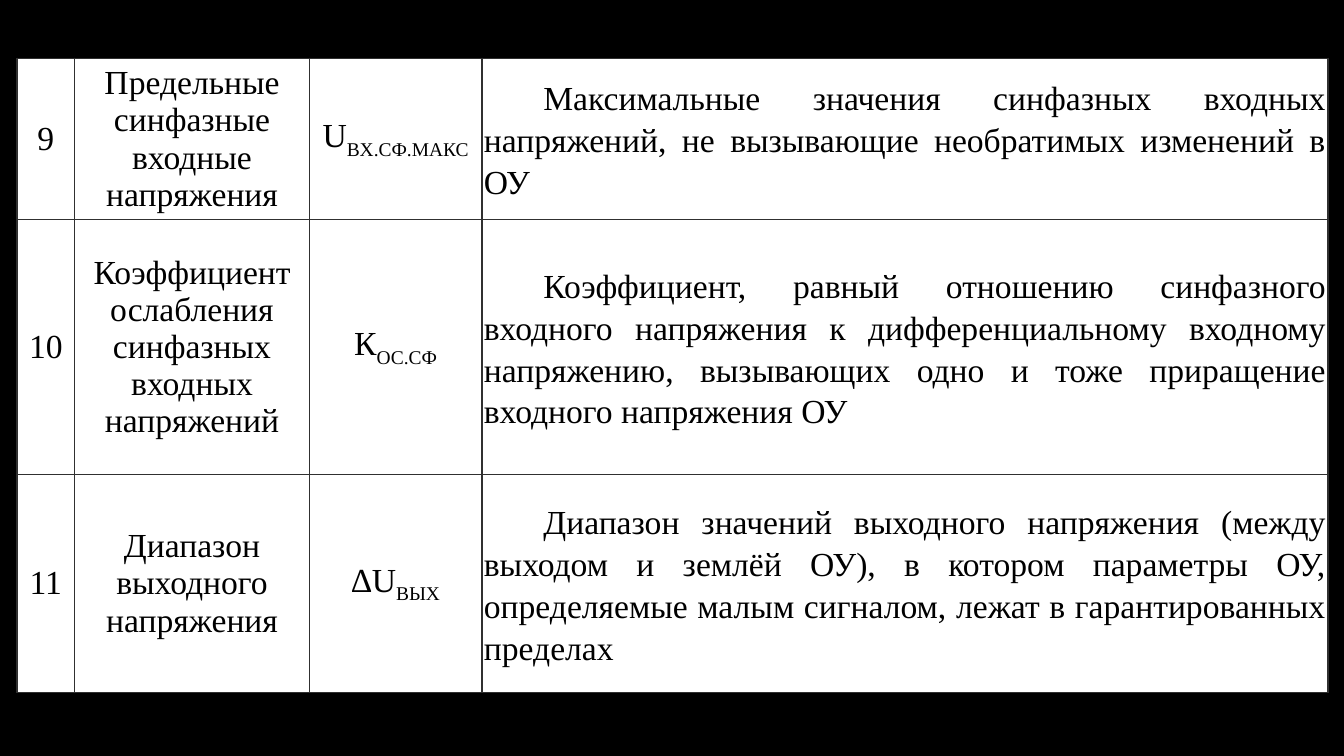
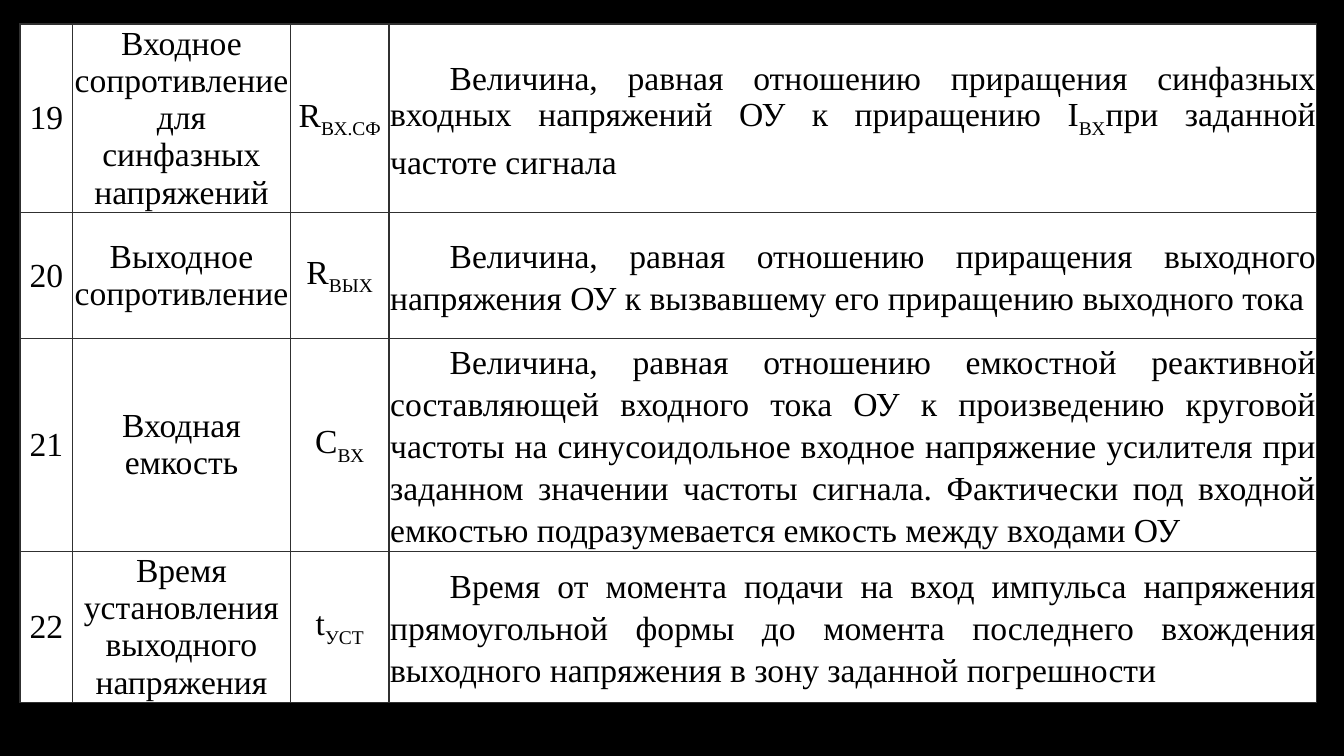
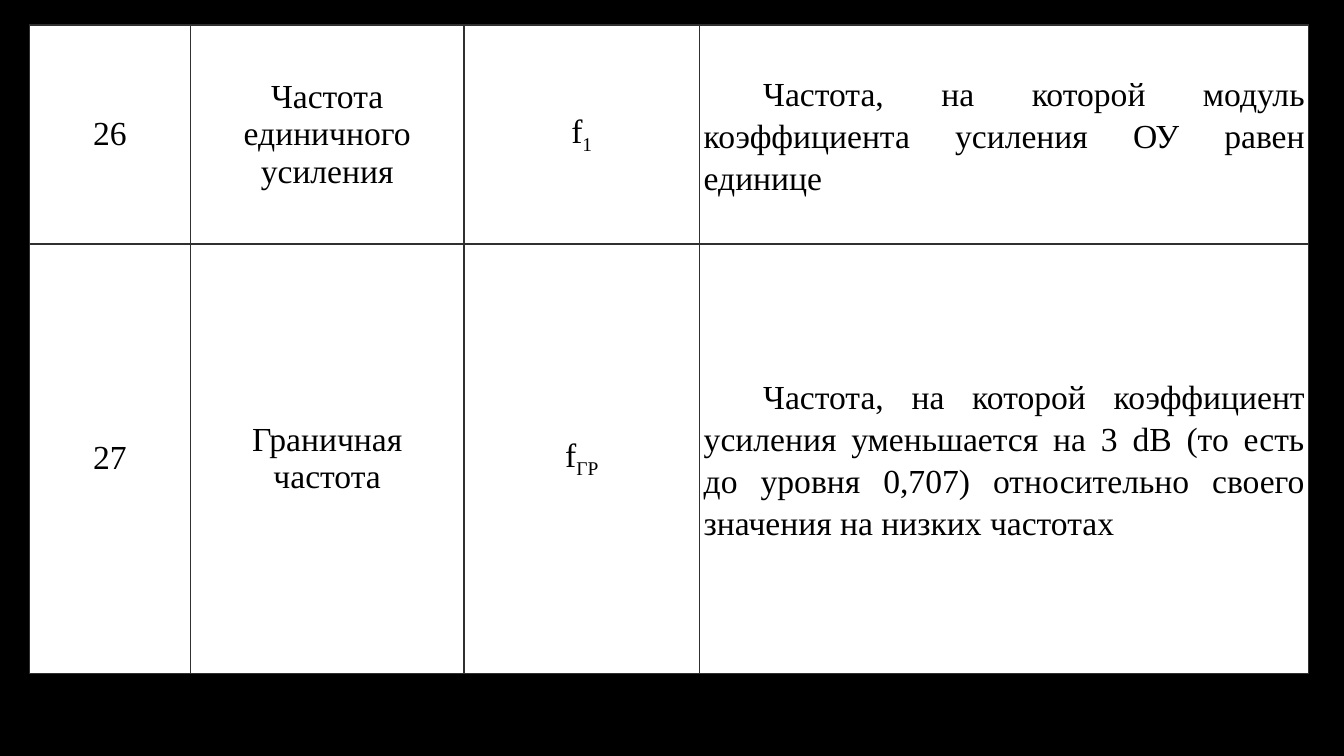
"""Three slides with tables of operational amplifier parameters."""
from dataclasses import dataclass

from lxml.etree import SubElement
from pptx import Presentation
from pptx.dml.color import RGBColor
from pptx.enum.text import MSO_ANCHOR, PP_ALIGN
from pptx.oxml.ns import qn
from pptx.util import Inches, Pt


@dataclass(frozen=True)
class Theme:
    back: str = "000000"
    paper: str = "FFFFFF"
    ink: str = "000000"
    rule: str = "303030"
    rule_width: float = 1.2
    font: str = "Times New Roman"
    size: int = 24
    leading: int = 30
    indent: float = 0.59
    subscript: int = -25000


theme = Theme()

TABLES = [
    dict(left=0.17, top=0.58, inset=0.02,
         cols=[0.57, 2.33, 1.71, 8.39], rows=[1.6, 2.53, 2.16],
         cells=[
             ("9", "Предельные синфазные входные напряжения", "U_BX.СФ.МАКС",
              "Максимальные значения синфазных входных напряжений, "
              "не вызывающие необратимых изменений в ОУ"),
             ("10", "Коэффициент ослабления синфазных входных напряжений", "К_ОС.СФ",
              "Коэффициент, равный отношению синфазного входного напряжения "
              "к дифференциальному входному напряжению, вызывающих одно и тоже "
              "приращение входного напряжения ОУ"),
             ("11", "Диапазон выходного напряжения", "∆U_BЫX",
              "Диапазон значений выходного напряжения (между выходом и землёй ОУ), "
              "в котором параметры ОУ, определяемые малым сигналом, "
              "лежат в гарантированных пределах"),
         ]),
    dict(left=0.2, top=0.24, inset=0.01,
         cols=[0.52, 2.16, 0.98, 9.2], rows=[1.87, 1.25, 2.11, 1.5],
         cells=[
             ("19", "Входное сопротивление для синфазных напряжений", "R_ВХ.СФ",
              "Величина, равная отношению приращения синфазных входных напряжений "
              "ОУ к приращению I_ВХ_при заданной частоте сигнала"),
             ("20", "Выходное сопротивление", "R_ВЫХ",
              "Величина, равная отношению приращения выходного напряжения ОУ "
              "к вызвавшему его приращению выходного тока"),
             ("21", "Входная емкость", "С_ВХ",
              "Величина, равная отношению емкостной реактивной составляющей "
              "входного тока ОУ к произведению круговой частоты на синусоидольное "
              "входное напряжение усилителя при заданном значении частоты сигнала. "
              "Фактически под входной емкостью подразумевается емкость "
              "между входами ОУ"),
             ("22", "Время установления выходного напряжения", "t_УСТ",
              "Время от момента подачи на вход импульса напряжения прямоугольной "
              "формы до момента последнего вхождения выходного напряжения "
              "в зону заданной погрешности"),
         ]),
    dict(left=0.29, top=0.25, inset=0.04,
         cols=[1.6, 2.71, 2.34, 6.04], rows=[2.17, 4.26],
         cells=[
             ("26", "Частота единичного усиления", "f_1",
              "Частота, на которой модуль коэффициента усиления ОУ равен единице"),
             ("27", "Граничная частота", "f_ГР",
              "Частота, на которой коэффициент усиления уменьшается на 3 dB "
              "(то есть до уровня 0,707) относительно своего значения "
              "на низких частотах"),
         ]),
]


def style_cell(cell, inset):
    cell.vertical_anchor = MSO_ANCHOR.MIDDLE
    cell.margin_left = cell.margin_right = Inches(inset)
    cell.margin_top = cell.margin_bottom = Inches(inset)
    tcPr = cell._tc.get_or_add_tcPr()
    for side in ("a:lnL", "a:lnR", "a:lnT", "a:lnB"):
        ln = SubElement(tcPr, qn(side), w=str(Pt(theme.rule_width)))
        SubElement(SubElement(ln, qn("a:solidFill")), qn("a:srgbClr"), val=theme.rule)
    cell.fill.solid()
    cell.fill.fore_color.rgb = RGBColor.from_string(theme.paper)


def write_text(p, text):
    for i, part in enumerate(text.split("_")):
        r = p.add_run()
        r.text = part
        r.font.name = theme.font
        r.font.size = Pt(theme.size)
        r.font.color.rgb = RGBColor.from_string(theme.ink)
        if i % 2:
            r._r.get_or_add_rPr().set("baseline", str(theme.subscript))


prs = Presentation()
prs.slide_width, prs.slide_height = Inches(13.33), Inches(7.5)
fill = prs.slide_master.background.fill
fill.solid()
fill.fore_color.rgb = RGBColor.from_string(theme.back)

for spec_table in TABLES:
    cols, rows = spec_table["cols"], spec_table["rows"]
    s = prs.slides.add_slide(prs.slide_layouts[6])
    table = s.shapes.add_table(
        len(rows), len(cols), Inches(spec_table["left"]), Inches(spec_table["top"]),
        Inches(sum(cols)), Inches(sum(rows))).table
    table.first_row = table.horz_banding = False
    for col, width in zip(table.columns, cols):
        col.width = Inches(width)
    for row, height, texts in zip(table.rows, rows, spec_table["cells"]):
        row.height = Inches(height)
        for i, (cell, text) in enumerate(zip(row.cells, texts)):
            style_cell(cell, spec_table["inset"])
            p = cell.text_frame.paragraphs[0]
            p.alignment = PP_ALIGN.CENTER
            if i == len(cols) - 1:
                p.alignment = PP_ALIGN.JUSTIFY
                p.line_spacing = Pt(theme.leading)
                p._p.get_or_add_pPr().set("indent", str(Inches(theme.indent)))
            write_text(p, text)

prs.save("out.pptx")
